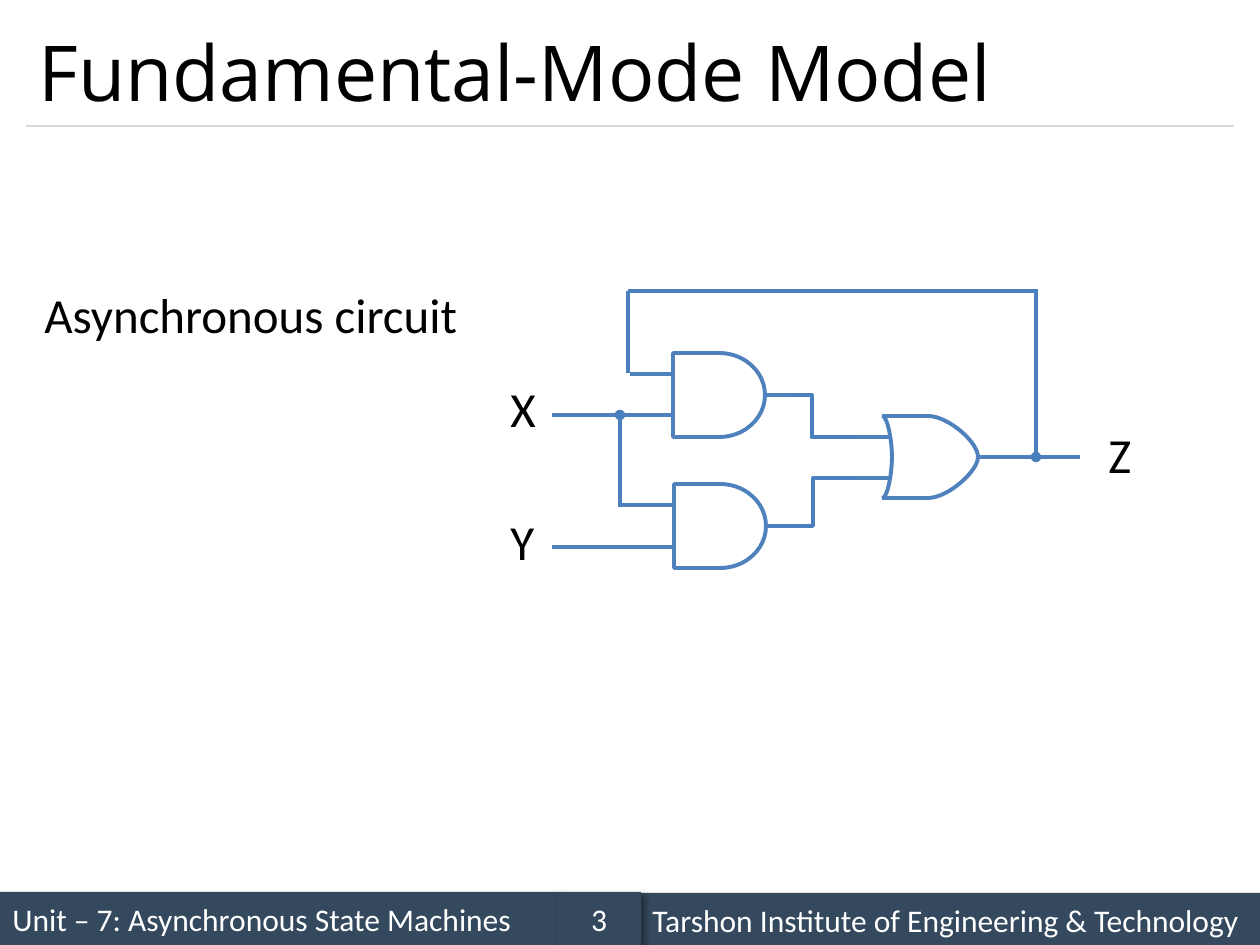
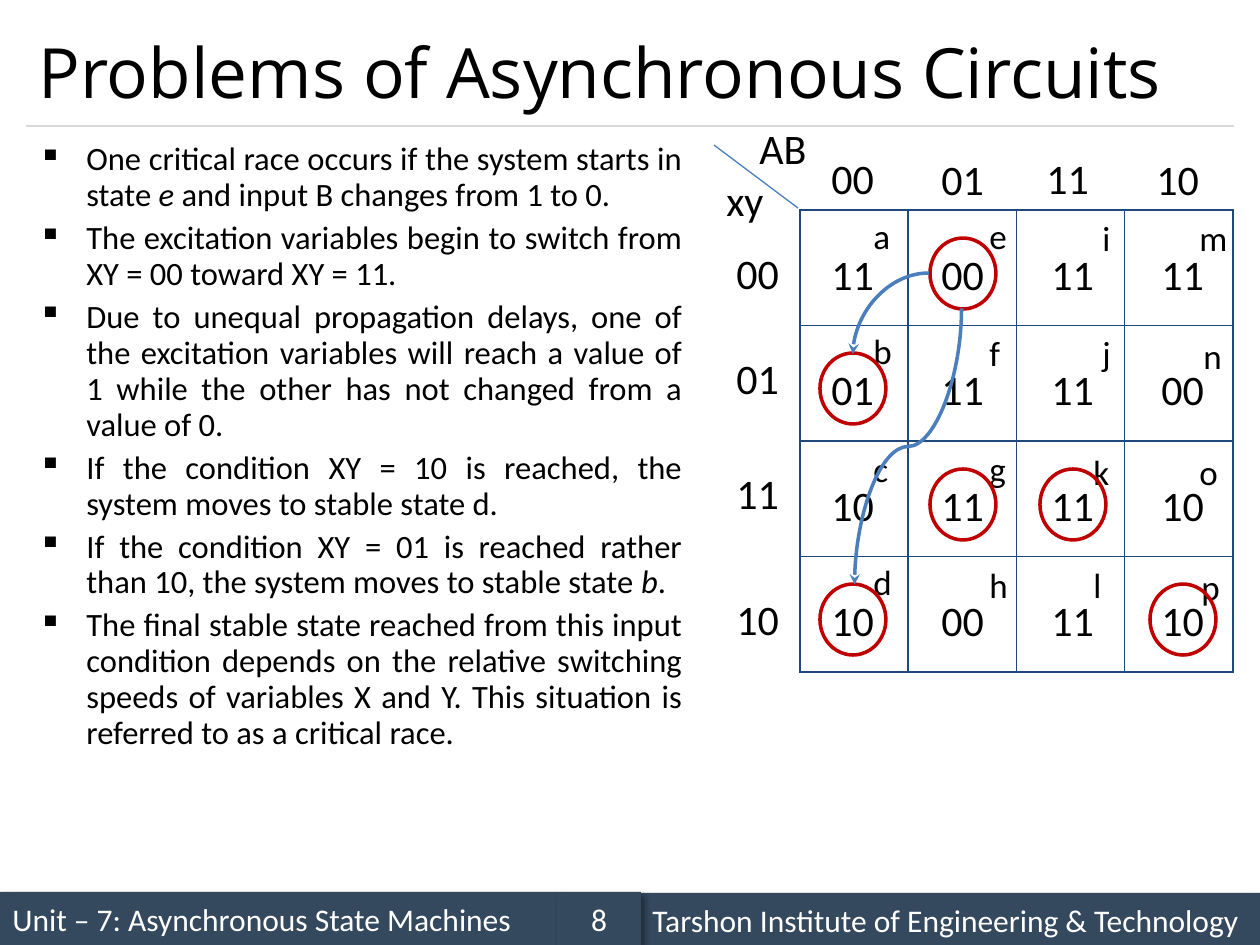
"""Two lecture slides: an asynchronous gate circuit and a critical race in its state table."""
from lxml.etree import SubElement
from pptx import Presentation
from pptx.dml.color import RGBColor
from pptx.enum.shapes import MSO_CONNECTOR, MSO_SHAPE
from pptx.enum.text import MSO_ANCHOR, PP_ALIGN
from pptx.oxml.ns import qn
from pptx.util import Pt

PX = 914400 / 126
BLACK = RGBColor(0x00, 0x00, 0x00)
WHITE = RGBColor(0xFF, 0xFF, 0xFF)
SLATE = RGBColor(0x34, 0x49, 0x5E)
RULE_GREY = RGBColor(0xD9, 0xD9, 0xD9)
GATE_BLUE = RGBColor(0x4F, 0x81, 0xBD)
WIRE_BLUE = RGBColor(0x4B, 0x7E, 0xBC)
GRID_NAVY = RGBColor(0x1F, 0x49, 0x7D)
STABLE_RED = RGBColor(0xC0, 0x00, 0x00)

TITLE = {"size": Pt(44), "name": "Open Sans"}
LONG_TITLE = {**TITLE, "size": Pt(39.6)}
FOOTER = {"size": Pt(18), "name": "Calibri"}
BODY = {"size": Pt(18.6), "name": "Calibri"}
CIRCUIT_LABEL = {"size": Pt(28), "name": "Calibri"}
TABLE_LABEL = {"size": Pt(24), "name": "Calibri"}
STATE_LABEL = {"size": Pt(20), "name": "Calibri"}


def write(shape, paragraphs, style, colour=BLACK, layout=None, anchor=MSO_ANCHOR.TOP):
    """Fill a shape with paragraphs; words between asterisks are italic."""
    frame = shape.text_frame
    frame.word_wrap = True
    frame.vertical_anchor = anchor
    for index, words in enumerate(paragraphs):
        paragraph = frame.add_paragraph() if index else frame.paragraphs[0]
        for name, value in (layout or {"alignment": PP_ALIGN.LEFT}).items():
            setattr(paragraph, name, value)
        for part, piece in enumerate(words.split("*")):
            run = paragraph.add_run()
            run.text = piece
            run.font.color.rgb = colour
            for name, value in {**style, "italic": part % 2 == 1}.items():
                setattr(run.font, name, value)


def wire(slide, ends, colour, weight, kind=MSO_CONNECTOR.STRAIGHT, **tips):
    """Draw a connector between two points; tips maps headEnd or tailEnd to its type."""
    line = slide.shapes.add_connector(kind, *(round(v * PX) for v in ends))
    line.line.color.rgb = colour
    line.line.width = Pt(weight)
    for tip, look in tips.items():
        SubElement(line.line._get_or_add_ln(), qn(f"a:{tip}"), type=look)
    SubElement(line._element.spPr, qn("a:effectLst"))
    return line


deck = Presentation()
deck.slide_width, deck.slide_height = round(1260 * PX), round(945 * PX)

pages = []
for heading, heading_style, number in (
    ("Fundamental-Mode Model", TITLE, "3"),
    ("Problems of Asynchronous Circuits", LONG_TITLE, "8"),
):
    page = deck.slides.add_slide(deck.slide_layouts[6])
    pages.append(page)
    for left, top, width, words, align in (
        (0, 892, 557, "Unit – 7: Asynchronous State Machines", PP_ALIGN.LEFT),
        (640, 893, 620, "Tarshon Institute of Engineering & Technology", PP_ALIGN.LEFT),
        (557, 892, 84, number, PP_ALIGN.CENTER),
    ):
        band = page.shapes.add_shape(
            MSO_SHAPE.RECTANGLE, *(round(v * PX) for v in (left, top, width, 53)))
        band.fill.solid()
        band.fill.fore_color.rgb = SLATE
        band.line.fill.background()
        band.shadow.inherit = False
        shadow = SubElement(
            band._element.spPr.find(qn("a:effectLst")), qn("a:outerShdw"),
            blurRad=str(Pt(4)), dist=str(Pt(3)), dir="2700000", algn="tl", rotWithShape="0")
        SubElement(SubElement(shadow, qn("a:srgbClr"), val="000000"), qn("a:alpha"), val="40000")
        write(band, [words], FOOTER, WHITE, {"alignment": align}, MSO_ANCHOR.MIDDLE)
    wire(page, (26, 126, 1234, 126), RULE_GREY, 0.75)
    title = page.shapes.add_textbox(*(round(v * PX) for v in (26, 15, 1208, 111)))
    write(title, [heading], heading_style, anchor=MSO_ANCHOR.MIDDLE)

circuit, race = pages

for ends in (
    (552, 547, 675, 547), (620, 505, 675, 505), (552, 415, 674, 415), (630, 374, 674, 374),
    (852, 478, 890, 478), (852, 437, 890, 437), (978, 457, 1080, 457),
):
    wire(circuit, ends, GATE_BLUE, 2.25)

for left, top in ((673, 353), (674, 484)):
    and_gate = circuit.shapes.add_shape(
        MSO_SHAPE.FLOWCHART_DELAY, *(round(v * PX) for v in (left, top, 92, 84)))
    and_gate.fill.background()
    and_gate.line.color.rgb = GATE_BLUE
    and_gate.line.width = Pt(2.25)
    and_gate.shadow.inherit = False
    output = wire(circuit, (left + 92, top + 42, left + 119, top + 42), GATE_BLUE, 2.25)
    output.begin_connect(and_gate, 3)

or_body = [(882, 416), (882, 416), (929, 416), (929, 416), (949, 417), (978, 442), (978, 457),
           (978, 471), (949, 497), (929, 498), (929, 498), (882, 498), (882, 498)]
or_back = [(882, 498), (888, 498), (892, 472), (892, 457), (892, 442), (888, 416), (882, 416)]
for curve in (or_body, or_back):
    outline = []
    for first in range(0, len(curve) - 1, 3):
        for t in (step / 16 for step in range(1, 17)):
            weights = ((1 - t) ** 3, 3 * t * (1 - t) ** 2, 3 * t * t * (1 - t), t ** 3)
            outline.append(tuple(
                PX * sum(w * point[axis] for w, point in zip(weights, curve[first:first + 4]))
                for axis in (0, 1)))
    builder = circuit.shapes.build_freeform(*(v * PX for v in curve[0]))
    builder.add_line_segments(outline, close=False)
    or_gate = builder.convert_to_shape()
    or_gate.fill.background()
    or_gate.line.color.rgb = GATE_BLUE
    or_gate.line.width = Pt(2.25)
    or_gate.shadow.inherit = False

for ends, bend in (((770, 526, 856, 478), 50000), ((791, 395, 856, 437), 31700)):
    elbow = wire(circuit, ends, WIRE_BLUE, 2.25, MSO_CONNECTOR.ELBOW)
    SubElement(elbow._element.spPr.find(qn("a:prstGeom")).find(qn("a:avLst")), qn("a:gd"),
               name="adj1", fmla=f"val {bend}")

for ends, tips in (
    ((1036, 291, 628, 291), {}),
    ((620, 507, 620, 415), {"tailEnd": "oval"}),
    ((628, 373, 628, 291), {}),
    ((1036, 457, 1036, 289), {"headEnd": "oval"}),
):
    wire(circuit, ends, WIRE_BLUE, 2, **tips)

for words, left, top, width in (
    ("X", 498, 372, 54), ("Y", 498, 505, 54), ("Z", 1096, 418, 54),
    ("Asynchronous circuit", 32, 278, 460),
):
    label = circuit.shapes.add_textbox(*(round(v * PX) for v in (left, top, width, 72)))
    write(label, [words], CIRCUIT_LABEL)

remarks = [
    "One critical race occurs if the system starts in state *e *and input B changes from 1 to 0.",
    "The excitation variables begin to switch from XY = 00 toward XY = 11.",
    "Due to unequal propagation delays, one of the excitation variables will reach a value of 1 "
    "while the other has not changed from a value of 0.",
    "If the condition XY = 10 is reached, the system moves to stable state d.",
    "If the condition XY = 01 is reached rather than 10, the system moves to stable state *b*.",
    "The final stable state reached from this input condition depends on the relative switching "
    "speeds of variables X and Y. This situation is referred to as a critical race.",
]
explanation = race.shapes.add_textbox(*(round(v * PX) for v in (26, 136, 669, 735)))
write(explanation, remarks, BODY, layout={
    "alignment": PP_ALIGN.JUSTIFY, "line_spacing": 0.92, "space_before": Pt(4)})
for paragraph in explanation.text_frame.paragraphs:
    bullet = paragraph._p.get_or_add_pPr()
    bullet.set("marL", str(round(48 * PX)))
    bullet.set("indent", str(round(-48 * PX)))
    SubElement(bullet, qn("a:buChar"), char="▪")

states = race.shapes.add_table(4, 4, *(round(v * PX) for v in (800, 210, 433, 462))).table
states.first_row = states.horz_banding = False
for cell in states.iter_cells():
    borders = cell._tc.get_or_add_tcPr()
    for side in ("lnL", "lnR", "lnT", "lnB"):
        border = SubElement(borders, qn(f"a:{side}"), w=str(Pt(1)))
        SubElement(SubElement(border, qn("a:solidFill")), qn("a:srgbClr"), val=str(GRID_NAVY))
    cell.fill.background()
wire(race, (798, 208, 714, 145), WIRE_BLUE, 0.75)

headers = [
    ("AB", 747, 116), ("xy", 714, 168),
    ("00", 819, 146), ("01", 929, 147), ("11", 1034, 146), ("10", 1144, 147),
    ("00", 724, 241), ("01", 724, 346), ("11", 724, 461), ("10", 724, 587),
]
next_states = [
    (value, 819 + 110 * column, 242 + 231 * row // 2)
    for row, values in enumerate(("11 00 11 11", "01 11 11 00", "10 11 11 10", "10 00 11 10"))
    for column, value in enumerate(values.split())
]
state_names = [
    ("a", 861, 208), ("b", 861, 323), ("c", 861, 441), ("d", 861, 554),
    ("e", 977, 208), ("f", 977, 325), ("g", 977, 441), ("h", 977, 557),
    ("i", 1090, 210), ("j", 1090, 325), ("k", 1081, 444), ("l", 1081, 557),
    ("m", 1187, 210), ("n", 1191, 328), ("o", 1187, 444), ("p", 1189, 559),
]
for entries, style, width, height in (
    (headers, TABLE_LABEL, 76, 63), (state_names, STATE_LABEL, 56, 55),
    (next_states, TABLE_LABEL, 72, 63),
):
    for words, left, top in entries:
        label = race.shapes.add_textbox(*(round(v * PX) for v in (left, top, width, height)))
        write(label, [words], style)

for row, column in ((1, 0), (0, 1), (2, 1), (2, 2), (3, 0), (3, 3)):
    stable = race.shapes.add_shape(MSO_SHAPE.OVAL, *(
        round(v * PX) for v in (820 + 110 * column, 238 + 231 * row // 2, 66, 71)))
    stable.fill.background()
    stable.line.color.rgb = STABLE_RED
    stable.line.width = Pt(2)
    stable.shadow.inherit = False

to_b = wire(race, (929, 273, 853, 354), WIRE_BLUE, 2, MSO_CONNECTOR.CURVE, tailEnd="stealth")
to_b._element.spPr.find(qn("a:prstGeom")).set("prst", "curvedConnector2")
to_d = wire(race, (770, 393, 1046, 500), WIRE_BLUE, 2, MSO_CONNECTOR.CURVE, tailEnd="stealth")
to_d._element.spPr.find(qn("a:xfrm")).set("rot", "5400000")

deck.save("out.pptx")
